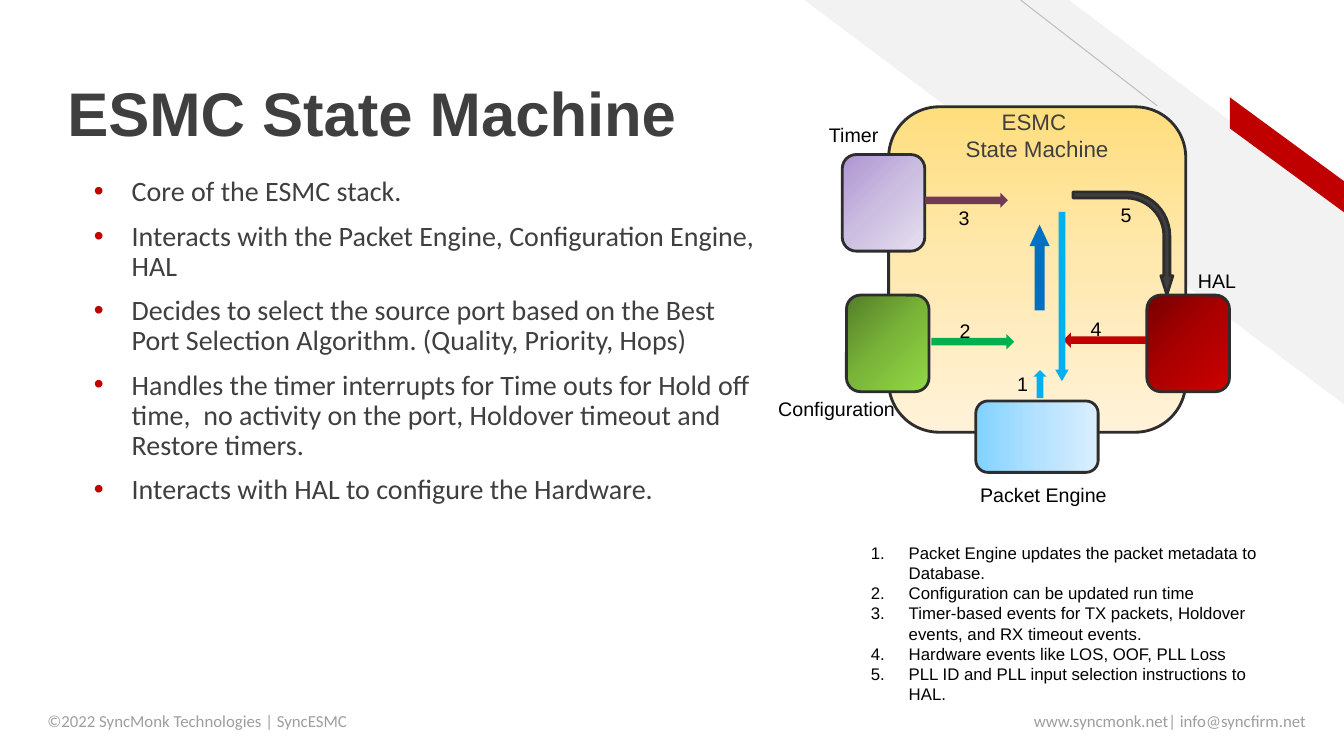
from copy import deepcopy

from lxml.etree import SubElement
from pptx import Presentation
from pptx.dml.color import RGBColor
from pptx.enum.shapes import MSO_CONNECTOR, MSO_SHAPE
from pptx.enum.text import MSO_ANCHOR, PP_ALIGN
from pptx.oxml.ns import qn
from pptx.util import Pt

COLOURS = {
    "black": "000000",
    "text": "3F3F3F",
    "footer": "9E9E9E",
    "outline": "2D2D2D",
    "stripe": "F2F2F2",
    "hairline": "BFBFBF",
    "red": "C00000",
    "green": "00B050",
    "sky": "00B0F0",
    "blue": "0070C0",
    "plum": "6F3B55",
}
GRADIENTS = {
    "machine": ("FFDE7E", "FFE9B1", "FFF2D9"),
    "configuration": ("547D28", "7AB539", "92D946"),
    "hal": ("770000", "AC0000", "CE0000"),
    "packet": ("81D2FF", "B3E1FF", "DAEFFF"),
    "timer": ("AF94D2", "CCBEE1", "E6E0EF"),
}
CORE_POINTS = [
    "Core of the ESMC stack.",
    "Interacts with the Packet Engine, Configuration Engine, HAL",
    "Decides to select the source port based on the Best Port Selection Algorithm. "
    "(Quality, Priority, Hops)",
    "Handles the timer interrupts for Time outs for Hold off time,  no activity on the port, "
    "Holdover timeout and Restore timers.",
    "Interacts with HAL to configure the Hardware.",
]
STEPS = [
    "Packet Engine updates the packet metadata to Database.",
    "Configuration can be updated run time",
    "Timer-based events for TX packets, Holdover events, and RX timeout events.",
    "Hardware events like LOS, OOF, PLL Loss",
    "PLL ID and PLL input selection instructions to HAL.",
]
MODULES = [
    ("configuration", 604.6, 210.8, 59, 69, 45),
    ("hal", 819.2, 210.8, 59, 69, 45),
    ("packet", 697, 286.4, 87.4, 51, 0),
    ("timer", 601.6, 110.4, 59, 69, 45),
]
ARROWS = [
    ("sky", 738.2, 264.4, 9.4, 20, 0, 0.5),
    ("green", 689.4, 214.6, 10.8, 59, 90, 0.5),
    ("red", 783.6, 213.4, 10.8, 59, 270, 0.5),
    ("blue", 735.4, 160.4, 14.4, 61.2, 0, 1.07),
    ("plum", 685, 113.6, 10.8, 59, 90, 0.5),
    ("sky", 753.7, 151.3, 9.6, 121, 180, 0.87),
]
LABELS = [
    ("Packet Engine", 693, 341.3),
    ("Configuration", 548.8, 280),
    ("Timer", 585, 84.2),
    ("HAL", 848.6, 188.6),
    ("1", 719.4, 262.1),
    ("2", 678.4, 223.9),
    ("3", 677.6, 143.3),
    ("4", 772, 222.9),
    ("5", 793.4, 141.1),
]
RED_BAND = [(878.6, 69.6), (960, 129.4), (960, 151.6), (878.6, 91.8)]


def rgb(name):
    return RGBColor.from_string(COLOURS[name])


def add_bullet(para, mark, colour, indent, hanging):
    properties = para._p.get_or_add_pPr()
    properties.set("marL", str(Pt(indent)))
    properties.set("indent", str(-Pt(hanging)))
    bullet_colour = SubElement(properties, qn("a:buClr"))
    SubElement(bullet_colour, qn("a:srgbClr"), val=COLOURS[colour])
    SubElement(properties, qn("a:buFont"), typeface="Arial")
    if mark == "number":
        SubElement(properties, qn("a:buAutoNum"), type="arabicPeriod")
    else:
        SubElement(properties, qn("a:buChar"), char=mark)


def add_text(page, text, left, top, width, height, size=14, font="Arial", colour="black",
             bold=False, align=PP_ALIGN.LEFT, anchor=MSO_ANCHOR.TOP, bottom=3.6,
             spacing=None, gap=0, bullet=None):
    box = page.shapes.add_textbox(Pt(left), Pt(top), Pt(width), Pt(height))
    frame = box.text_frame
    frame.word_wrap = True
    frame.vertical_anchor = anchor
    frame.margin_bottom = Pt(bottom)
    lines = [text] if isinstance(text, str) else text
    for index, line in enumerate(lines):
        para = frame.paragraphs[0] if index == 0 else frame.add_paragraph()
        if bullet:
            add_bullet(para, *bullet)
        para.alignment = align
        if spacing:
            para.line_spacing = spacing
        if gap and index:
            para.space_before = Pt(gap)
        span = para.add_run()
        span.text = line
        span.font.name = font
        span.font.size = Pt(size)
        span.font.bold = bold
        span.font.color.rgb = rgb(colour)


def add_shape(page, kind, left, top, width, height, fill=None, outline=None,
              adjustments=(), rotation=0):
    shape = page.shapes.add_shape(kind, Pt(left), Pt(top), Pt(width), Pt(height))
    shape.shadow.inherit = False
    shape.rotation = rotation
    for index, value in enumerate(adjustments):
        shape.adjustments[index] = value
    if fill:
        shape.fill.solid()
        shape.fill.fore_color.rgb = rgb(fill)
    if outline:
        shape.line.color.rgb = rgb(outline)
        shape.line.width = Pt(2)
    else:
        shape.line.fill.background()
    return shape


def add_module(page, name, left, top, width, height, angle):
    module = add_shape(page, MSO_SHAPE.ROUNDED_RECTANGLE, left, top, width, height,
                       outline="outline", adjustments=[0.17])
    module.fill.gradient()
    module.fill.gradient_angle = (360 - angle) % 360
    stop_list = module._element.spPr.find(qn("a:gradFill")).find(qn("a:gsLst"))
    stop_list.insert(1, deepcopy(stop_list[0]))
    for index, (stop, colour) in enumerate(zip(module.fill.gradient_stops, GRADIENTS[name])):
        stop.position = index / 2
        stop.color.rgb = RGBColor.from_string(colour)


def add_outline(page, corners, fill):
    points = [(Pt(x), Pt(y)) for x, y in corners]
    builder = page.shapes.build_freeform(*points[0])
    builder.add_line_segments(points[1:], close=True)
    shape = builder.convert_to_shape()
    shape.shadow.inherit = False
    shape.fill.solid()
    shape.fill.fore_color.rgb = rgb(fill)
    shape.line.fill.background()


def add_hairline(page, start_x, start_y, end_x, end_y):
    line = page.shapes.add_connector(MSO_CONNECTOR.STRAIGHT, Pt(start_x), Pt(start_y),
                                     Pt(end_x), Pt(end_y))
    line.line.color.rgb = rgb("hairline")
    line.line.width = Pt(0.75)
    SubElement(line._element.spPr, qn("a:effectLst"))


def add_decoration(page):
    stripe = add_shape(page, MSO_SHAPE.DIAGONAL_STRIPE, 574.6, 0, 385.4, 288.7,
                       fill="stripe", adjustments=[0.51])
    stripe._element.spPr.find(qn("a:xfrm")).set("flipH", "1")
    add_hairline(page, 826.6, 75.6, 729, 0)
    add_outline(page, RED_BAND, "red")


def add_diagram(page):
    add_module(page, "machine", 634.8, 76.3, 212.2, 232.4, 90)
    add_text(page, ["ESMC ", "State Machine"], 634.8, 73.8, 212, 44, size=16,
             colour="text", align=PP_ALIGN.CENTER)
    for module in MODULES:
        add_module(page, *module)
    for colour, left, top, width, height, rotation, head in ARROWS:
        add_shape(page, MSO_SHAPE.UP_ARROW, left, top, width, height, fill=colour,
                  adjustments=[0.5, head], rotation=rotation)
    add_shape(page, MSO_SHAPE.BENT_ARROW, 765.4, 138.2, 73.4, 71.3, fill="text",
              outline="outline", adjustments=[0.06, 0.06, 0.19, 0.44], rotation=90)
    for label, left, top in LABELS:
        add_text(page, label, left, top, 110, 24)


def main():
    deck = Presentation()
    deck.slide_width, deck.slide_height = Pt(960), Pt(540)
    page = deck.slides.add_slide(deck.slide_layouts[6])
    add_decoration(page)
    add_text(page, "ESMC State Machine", 41, 16.6, 656, 90.7, size=44, colour="text",
             bold=True, anchor=MSO_ANCHOR.BOTTOM, bottom=0, spacing=0.9)
    add_text(page, CORE_POINTS, 42, 123.4, 506.9, 356.4, size=20, font="Calibri",
             colour="text", spacing=0.9, gap=10, bullet=("•", "red", 45, 27))
    add_diagram(page)
    add_text(page, STEPS, 615, 384, 303.8, 123.8, size=12,
             bullet=("number", "black", 27, 27))
    footer = {"size": 12, "font": "Calibri", "colour": "footer", "anchor": MSO_ANCHOR.MIDDLE}
    add_text(page, "©2022 SyncMonk Technologies | SyncESMC", 26.8, 500.4, 324, 28.8, **footer)
    add_text(page, "www.syncmonk.net| info@syncfirm.net", 616.2, 500.4, 324, 28.8,
             align=PP_ALIGN.RIGHT, **footer)
    deck.save("out.pptx")


if __name__ == "__main__":
    main()
